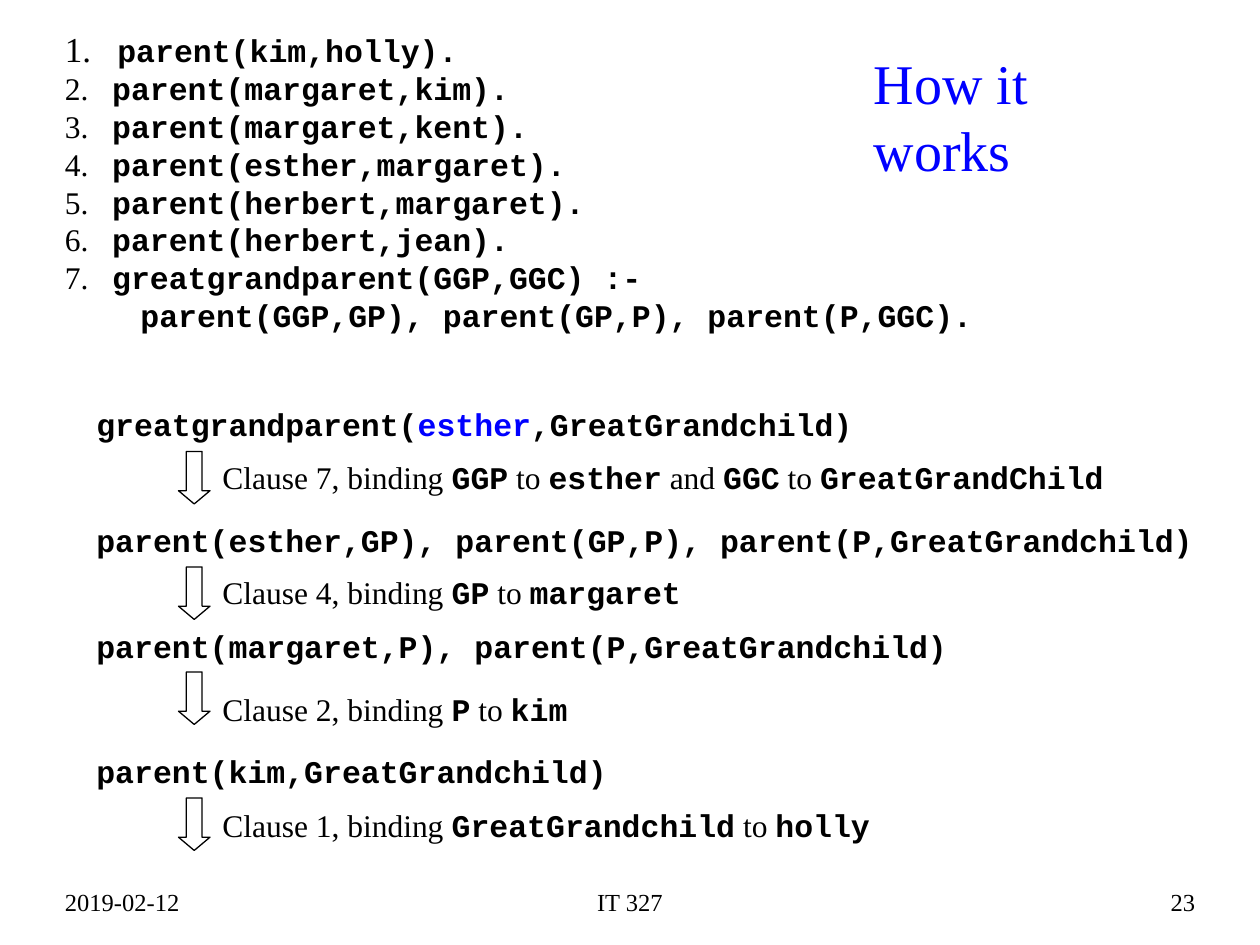
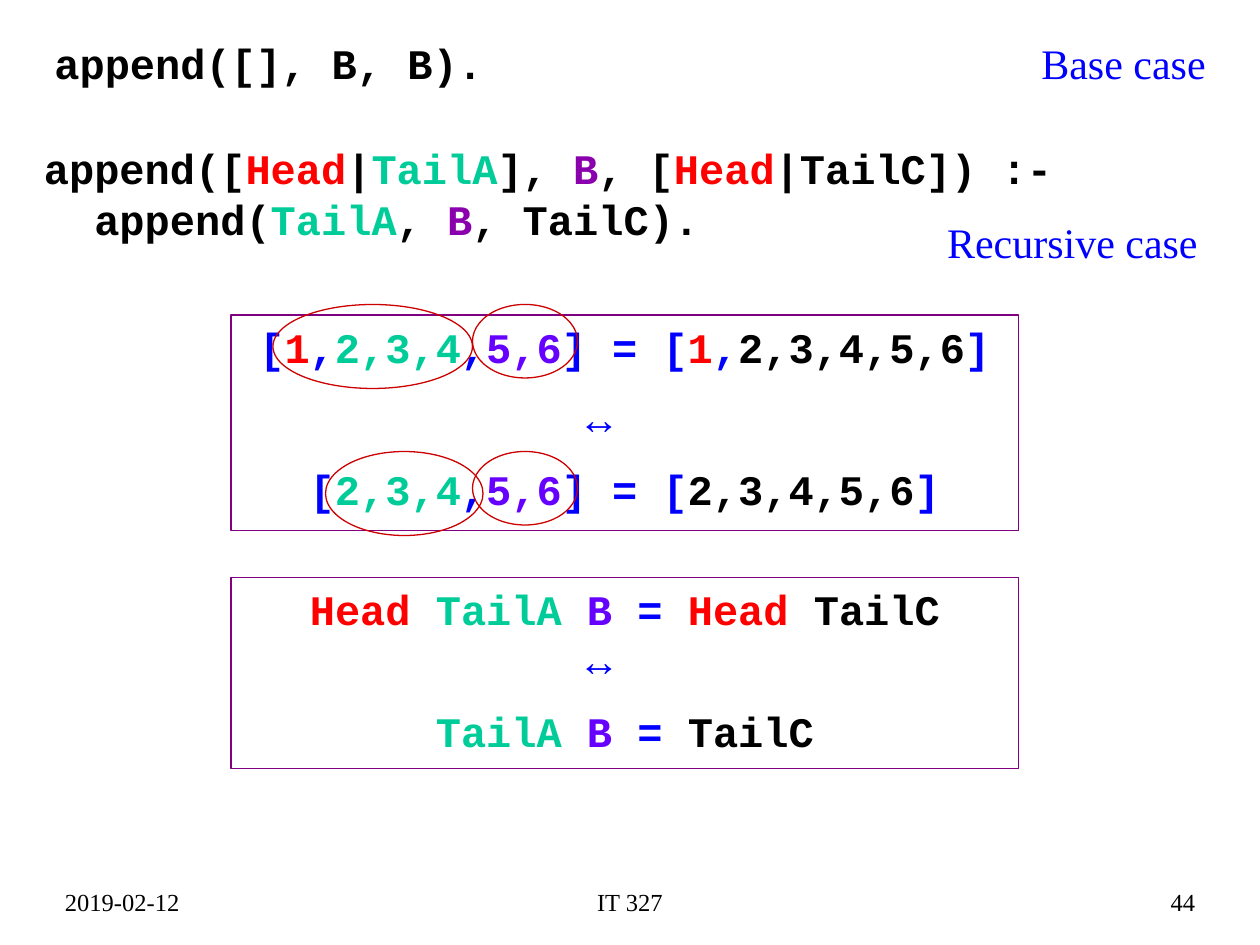
from dataclasses import dataclass

from pptx import Presentation
from pptx.dml.color import RGBColor
from pptx.enum.shapes import MSO_SHAPE as Preset
from pptx.enum.text import MSO_ANCHOR as Anchor, MSO_AUTO_SIZE as AutoSize, PP_ALIGN as Align
from pptx.util import Pt


@dataclass(frozen=True)
class Theme:
    """Colours, fonts and type sizes shared by the slides."""
    black: str = "000000"
    blue: str = "0000FF"
    red: str = "FF0000"
    green: str = "00CC99"
    violet: str = "6600FF"
    plum: str = "8B00AD"
    frame: str = "800080"
    ring: str = "CC0000"
    prose: str = "Times New Roman"
    code: str = "Courier New"
    footer_size: float = 14
    body_size: float = 18
    first_size: float = 20
    large_size: float = 24
    title_size: float = 32
    line_width: float = 0.75
    gap: float = 12


@dataclass(frozen=True)
class Box:
    """A rectangle in points."""
    left: float
    top: float
    width: float
    height: float

    def inner(self, left, top, width, height):
        """Return a box whose offset is counted from this one."""
        return Box(self.left + left, self.top + top, width, height)

    def lengths(self):
        """Return the four lengths that python-pptx expects."""
        return [Pt(value) for value in (self.left, self.top, self.width, self.height)]


theme = Theme()


def set_font(font, name=None, size=None, colour=None):
    """Format a font; code is always bold, prose never."""
    if name:
        font.name = name
        font.bold = name == theme.code
    if size:
        font.size = Pt(size)
    if colour:
        font.color.rgb = RGBColor.from_string(colour)


def add_run(paragraph, text, **style):
    """Append one run, formatted where it differs from its paragraph."""
    run = paragraph.add_run()
    run.text = text
    set_font(run.font, **style)


def indent(paragraph, margin, first=0):
    """Set the left margin and first-line indent."""
    properties = paragraph._p.get_or_add_pPr()
    properties.set("marL", str(Pt(margin)))
    properties.set("indent", str(Pt(first)))


def next_paragraph(frame):
    """Return the unused first paragraph, or a new one."""
    first = frame.paragraphs[0]
    return frame.add_paragraph() if first.runs else first


def add_text(slide, box, anchor=Anchor.TOP):
    """Add an empty wrapping text box and return its frame."""
    frame = slide.shapes.add_textbox(*box.lengths()).text_frame
    frame.word_wrap = True
    frame.vertical_anchor = anchor
    return frame


def add_label(slide, box, text, size, colour=theme.black, name=theme.prose,
              align=Align.LEFT, anchor=Anchor.TOP):
    """Add a text box with one paragraph in one style."""
    paragraph = add_text(slide, box, anchor).paragraphs[0]
    paragraph.alignment = align
    set_font(paragraph.font, name, size, colour)
    add_run(paragraph, text)


def add_outline(slide, preset, box, colour):
    """Add an unfilled preset shape."""
    shape = slide.shapes.add_shape(preset, *box.lengths())
    shape.shadow.inherit = False
    shape.fill.background()
    shape.line.color.rgb = RGBColor.from_string(colour)
    shape.line.width = Pt(theme.line_width)
    return shape


def add_coloured_line(frame, spans):
    """Add a paragraph of large code from (text, colour) pairs."""
    paragraph = next_paragraph(frame)
    set_font(paragraph.font, theme.code, theme.large_size)
    for text, colour in spans:
        add_run(paragraph, text, colour=colour)
    return paragraph


def place_title(slide, box, text, size, anchor, wrap=True):
    """Move and format the title placeholder."""
    title = slide.shapes.title
    title.left, title.top, title.width, title.height = box.lengths()
    frame = title.text_frame
    frame.auto_size = AutoSize.NONE
    frame.word_wrap = wrap
    frame.vertical_anchor = anchor
    paragraph = frame.paragraphs[0]
    paragraph.alignment = Align.LEFT
    set_font(paragraph.font, theme.prose, size, theme.blue)
    add_run(paragraph, text)


def add_footer(slide, box, number):
    """Place date, course and slide number along the foot."""
    for text, left, width, align in (
        ("2019-02-12", 0, 204, Align.LEFT),
        ("IT 327", 216, 228, Align.CENTER),
        (number, 510, 150, Align.RIGHT),
    ):
        add_label(slide, box.inner(left, 0, width, box.height), text,
                  theme.footer_size, align=align, anchor=Anchor.MIDDLE)


def add_clauses(slide, box, clauses, last_line):
    """List the numbered clauses, the last one running on to a second line."""
    frame = add_text(slide, box)
    for number, clause in enumerate(clauses, 1):
        size, hang = (theme.first_size, 30) if number == 1 else (theme.body_size, 27)
        paragraph = next_paragraph(frame)
        indent(paragraph, hang, -hang)
        add_run(paragraph, f"{number}.\t", name=theme.prose, size=size, colour=theme.black)
        add_run(paragraph, clause, name=theme.code, size=theme.body_size, colour=theme.black)
    paragraph = next_paragraph(frame)
    indent(paragraph, 43.2)
    set_font(paragraph.font, theme.code, theme.body_size, theme.black)
    add_run(paragraph, last_line)


def add_goal(slide, box, spans):
    """Write one goal of the derivation."""
    paragraph = add_text(slide, box).paragraphs[0]
    set_font(paragraph.font, theme.code, theme.body_size)
    for text, colour in spans:
        add_run(paragraph, text, colour=colour)


def add_step(slide, box, arrow_top, note_top, note):
    """Draw a down arrow and its note, in which |bars| enclose code."""
    arrow = add_outline(slide, Preset.DOWN_ARROW, box.inner(54, arrow_top, 18, 30), theme.black)
    arrow.adjustments[1] = 0.42
    paragraph = add_text(slide, box.inner(72, note_top, 552, 28.8)).paragraphs[0]
    set_font(paragraph.font, size=theme.body_size, colour=theme.black)
    for index, text in enumerate(filter(None, note.split("|"))):
        add_run(paragraph, text, name=theme.code if index % 2 else theme.prose,
                size=theme.body_size, colour=theme.black)


def add_equations(slide, box, above, below, arrow_gap):
    """Frame two equations joined by a double arrow."""
    frame = add_outline(slide, Preset.RECTANGLE, box, theme.frame).text_frame
    frame.word_wrap = True
    frame.vertical_anchor = Anchor.TOP
    add_coloured_line(frame, above).alignment = Align.CENTER
    arrow = add_coloured_line(frame, [("\u2194", theme.blue)])
    arrow.alignment = Align.LEFT
    arrow.space_before = Pt(arrow_gap)
    indent(arrow, 196)
    last = add_coloured_line(frame, below)
    last.alignment = Align.CENTER
    last.space_before = Pt(theme.gap)


def build_derivation(slide):
    """Build the slide that resolves a query step by step."""
    place_title(slide, Box(492, 24, 188.6, 45.4), "How it works",
                theme.title_size, Anchor.TOP, wrap=False)
    add_clauses(slide, Box(30, 12, 546, 183), (
        "parent(kim,holly).",
        "parent(margaret,kim).",
        "parent(margaret,kent).",
        "parent(esther,margaret).",
        "parent(herbert,margaret).",
        "parent(herbert,jean).",
        "greatgrandparent(GGP,GGC) :-",
    ), "parent(GGP,GP), parent(GP,P), parent(P,GGC).")
    black = theme.black
    steps = (
        (228, [("greatgrandparent(", black), ("esther", theme.blue), (",GreatGrandchild)", black)],
         30, 30, "Clause 7, binding |GGP| to |esther| and |GGC| to |GreatGrandChild"),
        (294, [("parent(esther,GP), parent(GP,P), parent(P,GreatGrandchild)", black)],
         30, 30, "Clause 4, binding |GP| to |margaret"),
        (355, [("parent(margaret,P), parent(P,GreatGrandchild)", black)],
         29, 36, "Clause 2, binding |P| to |kim"),
        (426, [("parent(kim,GreatGrandchild)", black)],
         30, 31, "Clause 1, binding |GreatGrandchild| to |holly"),
    )
    for top, goal, arrow_top, note_top, note in steps:
        box = Box(48, top, 648, 28.8)
        add_goal(slide, box, goal)
        add_step(slide, box, arrow_top, note_top, note)


def build_append(slide):
    """Build the slide that explains the append predicate."""
    black, blue, red = theme.black, theme.blue, theme.red
    green, violet, plum = theme.green, theme.violet, theme.plum
    place_title(slide, Box(534, 102, 186, 72), "Recursive case", theme.large_size, Anchor.MIDDLE)
    add_label(slide, Box(588, 0, 132, 72), "Base case", theme.large_size, blue,
              anchor=Anchor.MIDDLE)
    add_label(slide, Box(24, 18, 606, 37), "append([], B, B).", theme.large_size, name=theme.code)

    rule = add_text(slide, Box(18, 78, 606, 66))
    add_coloured_line(rule, [("append([", black), ("Head", red), ("|", black), ("TailA", green),
                             ("], ", black), ("B", plum), (", [", black), ("Head", red),
                             ("|TailC]) :-", black)])
    body = add_coloured_line(rule, [("append(", black), ("TailA", green), (", ", black),
                                    ("B", plum), (", TailC).", black)])
    indent(body, 28.8)

    tail = [("2,3,4", green), (",", blue), ("5,6", violet), ("] = [", blue)]
    total = [("2,3,4,5,6", black), ("]", blue)]
    head = [("1", red), (",", blue)]
    opening = [("[", blue)]
    example = Box(132, 180, 450, 123)
    add_equations(slide, example, opening + head + tail + head + total,
                  opening + tail + total, theme.gap)

    names = [("TailA ", green), ("B", violet), (" = ", blue)]
    add_equations(slide, Box(132, 330, 450, 109),
                  [("Head ", red), *names, ("Head ", red), ("TailC", black)],
                  [*names, ("TailC", black)], 0)

    for top, left, width in ((-6, 24, 114), (78, 54, 90)):
        for ring in ((left, top, width, 48), (138, top, 60, 42)):
            add_outline(slide, Preset.OVAL, example.inner(*ring), theme.ring)


def main():
    """Build and save the presentation."""
    presentation = Presentation()
    presentation.slide_width, presentation.slide_height = Pt(720), Pt(540)
    title_only = presentation.slide_layouts[5]
    for build, number in ((build_derivation, "23"), (build_append, "44")):
        slide = presentation.slides.add_slide(title_only)
        build(slide)
        add_footer(slide, Box(30, 497.5, 660, 36), number)
    presentation.save("out.pptx")


main()
